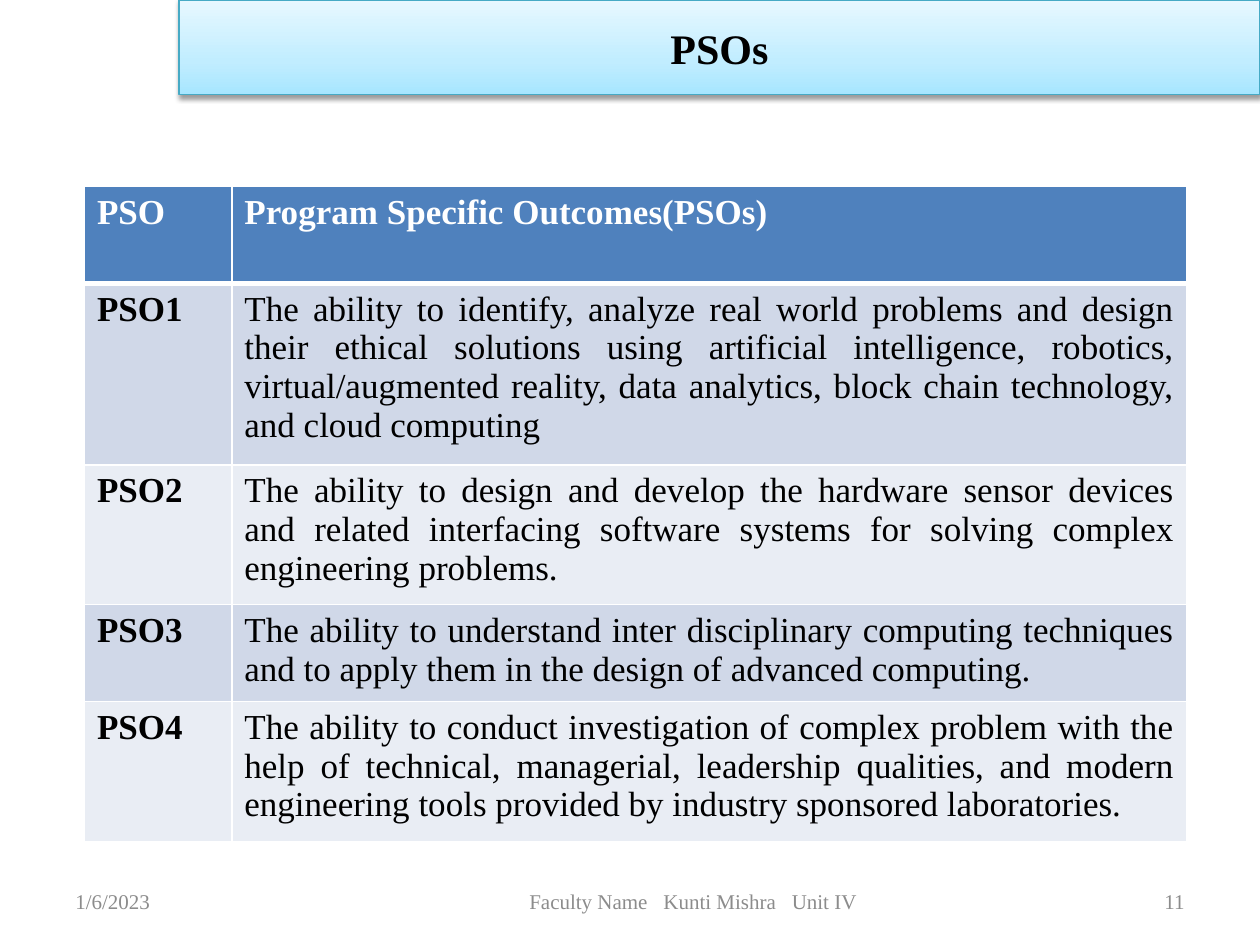
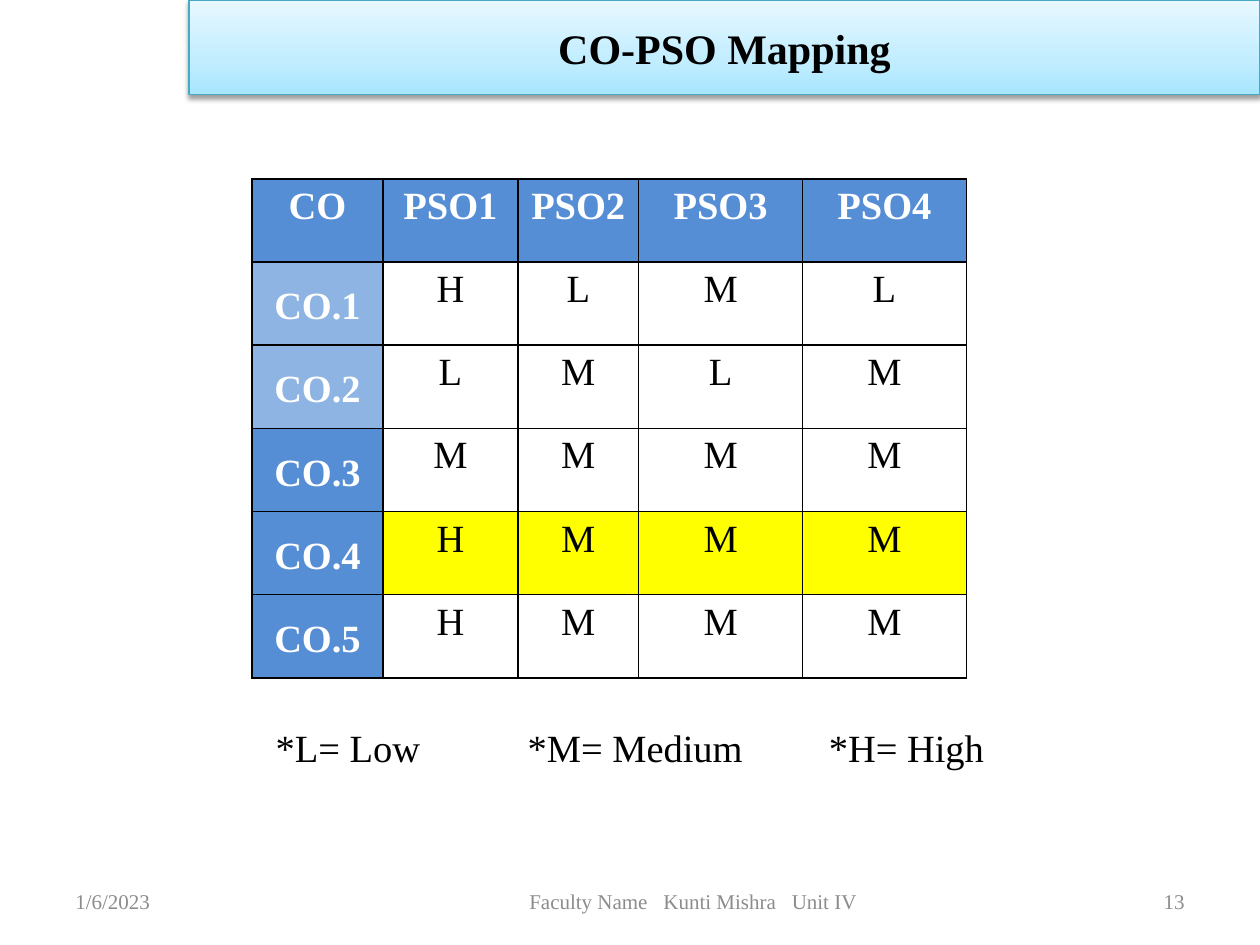
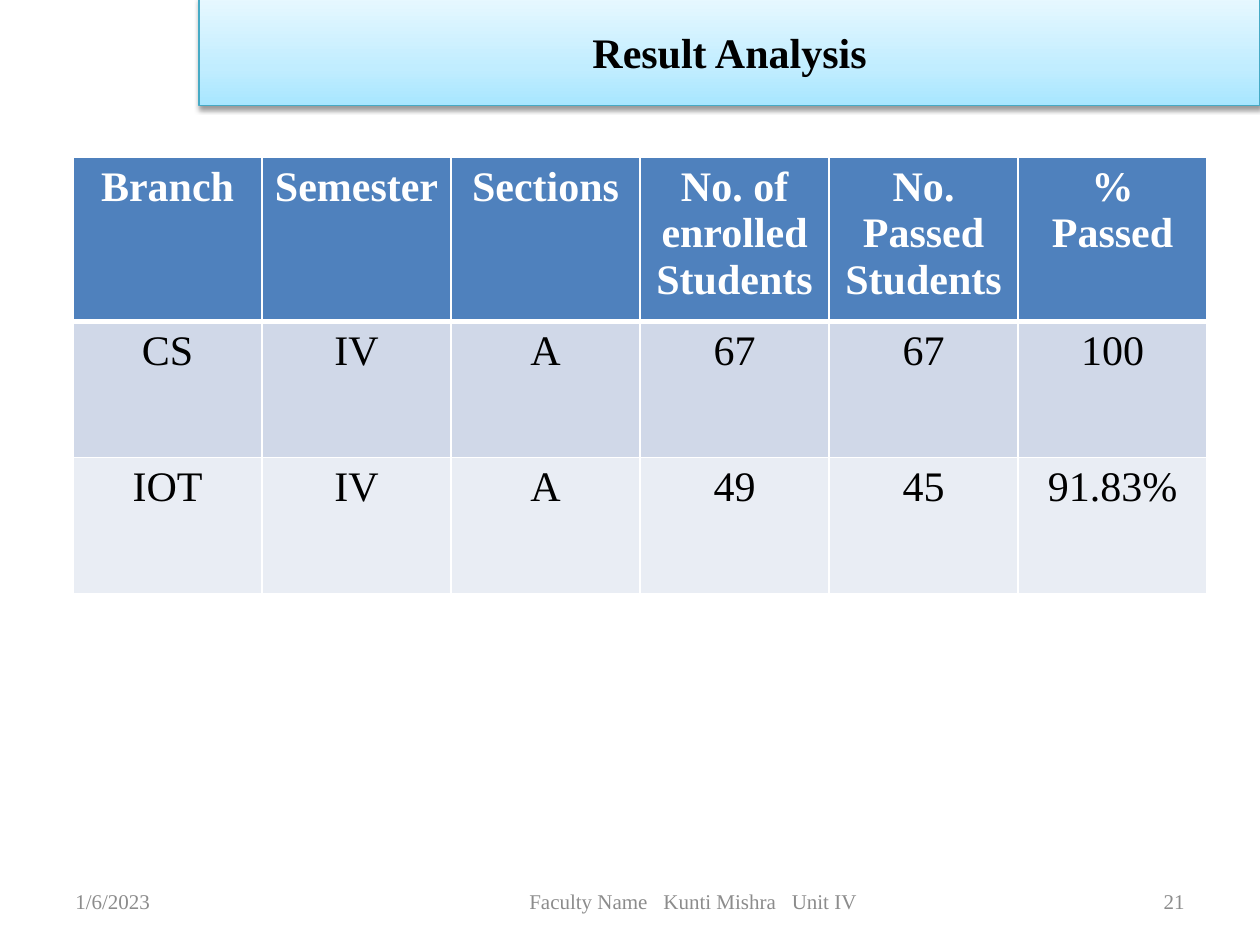
from copy import deepcopy
from dataclasses import dataclass
from typing import Callable, Optional

from lxml import etree
from pptx import Presentation
from pptx.dml.color import RGBColor
from pptx.enum import shapes, text
from pptx.oxml.ns import qn
from pptx.util import Inches, Pt

FONT = "Times New Roman"
BLACK = RGBColor(0x00, 0x00, 0x00)
WHITE = RGBColor(0xFF, 0xFF, 0xFF)
GREY = RGBColor(0x8C, 0x8C, 0x8C)
HEADER_BLUE = RGBColor(0x4F, 0x81, 0xBD)
BAND_DARK = RGBColor(0xD0, 0xD8, 0xE8)
BAND_LIGHT = RGBColor(0xE9, 0xED, 0xF4)
CO_BLUE = RGBColor(0x55, 0x8E, 0xD5)
CO_LIGHT_BLUE = RGBColor(0x8E, 0xB4, 0xE3)
YELLOW = RGBColor(0xFF, 0xFF, 0x00)
BANNER_LINE = RGBColor(0x46, 0xAA, 0xC5)
BANNER_STOPS = (
    (0, RGBColor(0xA7, 0xE6, 0xFF)),
    (0.35, RGBColor(0xC1, 0xED, 0xFF)),
    (1, RGBColor(0xE7, 0xF8, 0xFF)),
)

LEFT, CENTER, RIGHT, JUSTIFY = (
    text.PP_ALIGN.LEFT, text.PP_ALIGN.CENTER, text.PP_ALIGN.RIGHT, text.PP_ALIGN.JUSTIFY)
TOP, MIDDLE = text.MSO_ANCHOR.TOP, text.MSO_ANCHOR.MIDDLE

DATE = "1/6/2023"
FOOTER_PARTS = ("Faculty Name", "Kunti Mishra", "Unit IV")
FOOTER_TOP, FOOTER_HEIGHT = 6.95, 0.4


@dataclass(frozen=True)
class Banner:
    title: str
    left: float
    top: float = 0
    height: float = 0.75


@dataclass(frozen=True)
class CellStyle:
    fill: Optional[RGBColor]
    color: RGBColor = BLACK
    bold: bool = False
    align: text.PP_ALIGN = CENTER
    anchor: text.MSO_ANCHOR = TOP


@dataclass(frozen=True)
class Grid:
    left: float
    top: float
    widths: list[float]
    heights: list[float]
    rows: list[list[str]]
    size: float
    style: Callable[[int, int], CellStyle]
    border: RGBColor = WHITE
    header_rule: float = 3
    margins: Optional[tuple[float, float]] = None
    line_spacing: Optional[float] = None


def add_run(p, words: str, size: float, color: RGBColor, bold: bool = False):
    r = p.add_run()
    r.text = words
    r.font.name = FONT
    r.font.size = Pt(size)
    r.font.bold = bold
    r.font.color.rgb = color
    return r


def add_text_box(s, left: float, top: float, width: float, height: float,
                 align: text.PP_ALIGN = LEFT):
    """Add an empty, vertically centred text box and return its paragraph."""
    tf = s.shapes.add_textbox(
        Inches(left), Inches(top), Inches(width), Inches(height)).text_frame
    tf.word_wrap = True
    tf.vertical_anchor = MIDDLE
    p = tf.paragraphs[0]
    p.alignment = align
    return p


def add_footer(s, number: int) -> None:
    for left, words, align in ((0.5, DATE, LEFT), (7.17, str(number), RIGHT)):
        p = add_text_box(s, left, FOOTER_TOP, 2.33, FOOTER_HEIGHT, align)
        add_run(p, words, 12, GREY)
    p = add_text_box(s, 2.75, FOOTER_TOP, 5.5, FOOTER_HEIGHT, CENTER)
    for i, part in enumerate(FOOTER_PARTS):
        if i:
            gap = add_run(p, " ", 12, GREY)
            gap.font._element.set("spc", "600")
        add_run(p, part, 12, GREY)


def add_banner(s, banner: Banner) -> None:
    sp = s.shapes.add_shape(
        shapes.MSO_SHAPE.RECTANGLE, Inches(banner.left), Inches(banner.top),
        Inches(10 - banner.left), Inches(banner.height))
    sp.line.color.rgb = BANNER_LINE
    sp.line.width = Pt(0.75)
    sp.fill.gradient()
    sp.fill.gradient_angle = 90
    stop_list = sp._element.spPr.find(qn("a:gradFill")).find(qn("a:gsLst"))
    stop_list.append(deepcopy(stop_list[0]))
    for stop, (position, color) in zip(sp.fill.gradient_stops, BANNER_STOPS):
        stop.position = position
        stop.color.rgb = color
    add_shadow(sp)
    tf = sp.text_frame
    tf.word_wrap = True
    tf.vertical_anchor = MIDDLE
    p = tf.paragraphs[0]
    p.alignment = CENTER
    add_run(p, banner.title, 24, BLACK, True)


def add_shadow(sp) -> None:
    sp.shadow.inherit = False
    effects = sp._element.spPr.find(qn("a:effectLst"))
    shadow = etree.SubElement(
        effects, qn("a:outerShdw"), blurRad=str(Pt(3.1)), dist=str(Pt(1.6)),
        dir="5400000", rotWithShape="0")
    color = etree.SubElement(shadow, qn("a:srgbClr"), val=str(BLACK))
    etree.SubElement(color, qn("a:alpha"), val="38000")


def set_borders(cell, color: RGBColor, top: float, bottom: float) -> None:
    """Draw all four borders; must run before the cell gets its fill."""
    tc_pr = cell._tc.get_or_add_tcPr()
    for side, width in (("L", 1), ("R", 1), ("T", top), ("B", bottom)):
        ln = etree.SubElement(tc_pr, qn(f"a:ln{side}"), w=str(Pt(width)))
        fill = etree.SubElement(ln, qn("a:solidFill"))
        etree.SubElement(fill, qn("a:srgbClr"), val=str(color))


def add_grid(s, grid: Grid) -> None:
    table = s.shapes.add_table(
        len(grid.heights), len(grid.widths), Inches(grid.left), Inches(grid.top),
        Inches(sum(grid.widths)), Inches(sum(grid.heights))).table
    table.horz_banding = False
    for column, width in zip(table.columns, grid.widths):
        column.width = Inches(width)
    for row, height in zip(table.rows, grid.heights):
        row.height = Inches(height)
    for i, row in enumerate(grid.rows):
        for j, words in enumerate(row):
            cell, style = table.cell(i, j), grid.style(i, j)
            set_borders(cell, grid.border,
                        top=grid.header_rule if i == 1 else 1,
                        bottom=grid.header_rule if i == 0 else 1)
            if style.fill is None:
                cell.fill.background()
            else:
                cell.fill.solid()
                cell.fill.fore_color.rgb = style.fill
            cell.vertical_anchor = style.anchor
            if grid.margins:
                side, end = grid.margins
                cell.margin_left = cell.margin_right = Inches(side)
                cell.margin_top = cell.margin_bottom = Inches(end)
            p = cell.text_frame.paragraphs[0]
            p.alignment = style.align
            if grid.line_spacing:
                p.line_spacing = grid.line_spacing
            add_run(p, words, grid.size, style.color, style.bold)


def band(row: int) -> RGBColor:
    return BAND_DARK if row % 2 else BAND_LIGHT


def outcome_style(row: int, col: int) -> CellStyle:
    if row == 0:
        return CellStyle(HEADER_BLUE, WHITE, True, LEFT)
    return CellStyle(band(row), bold=col == 0, align=JUSTIFY if col else LEFT)


def mapping_style(row: int, col: int) -> CellStyle:
    if row == 0:
        return CellStyle(CO_BLUE, WHITE, True)
    if col == 0:
        return CellStyle(CO_LIGHT_BLUE if row < 3 else CO_BLUE, WHITE, True, anchor=MIDDLE)
    return CellStyle({2: WHITE, 4: YELLOW}.get(row))


def result_style(row: int, col: int) -> CellStyle:
    return CellStyle(band(row)) if row else CellStyle(HEADER_BLUE, WHITE, True)


def add_legend(s) -> None:
    p = add_text_box(s, 2.09, 5.75, 6.5, 0.36)
    tabs = etree.SubElement(p._p.get_or_add_pPr(), qn("a:tabLst"))
    for position in (2, 4.39):
        etree.SubElement(tabs, qn("a:tab"), pos=str(Inches(position)), algn="l")
    add_run(p, "*L= Low\t*M= Medium\t*H= High", 22, BLACK)


OUTCOMES = Grid(
    0.67, 1.48, [1.17, 7.58], [0.77, 1.44, 1.11, 0.77, 1.11],
    [
        ["PSO", "Program Specific Outcomes(PSOs)"],
        ["PSO1", "The ability to identify, analyze real world problems and design their "
                 "ethical solutions using artificial intelligence, robotics, "
                 "virtual/augmented reality, data analytics, block chain technology, "
                 "and cloud computing"],
        ["PSO2", "The ability to design and develop the hardware sensor devices and "
                 "related interfacing software systems for solving complex engineering "
                 "problems."],
        ["PSO3", "The ability to understand inter disciplinary computing techniques and "
                 "to apply them in the design of advanced computing."],
        ["PSO4", "The ability to conduct investigation of complex problem with the help "
                 "of technical, managerial, leadership qualities, and modern engineering "
                 "tools provided by industry sponsored laboratories."],
    ],
    20, outcome_style)

LEVELS = ("HLML", "LMLM", "MMMM", "HMMM", "HMMM")
MAPPING = Grid(
    2, 1.42, [1.04, 1.07, 0.96, 1.3, 1.3], [0.66] * 6,
    [["CO"] + [f"PSO{n}" for n in range(1, 5)]]
    + [[f"CO.{n}", *levels] for n, levels in enumerate(LEVELS, 1)],
    22, mapping_style, border=BLACK, header_rule=1, margins=(0.07, 0), line_spacing=1.15)

RESULTS = Grid(
    0.58, 1.25, [1.5] * 6, [1.08] * 3,
    [
        ["Branch", "Semester", "Sections", "No. of enrolled Students",
         "No. Passed Students", "% Passed"],
        ["CS", "IV", "A", "67", "67", "100"],
        ["IOT", "IV", "A", "49", "45", "91.83%"],
    ],
    24, result_style)


def add_slide(prs, number: int, banner: Banner, grid: Grid):
    s = prs.slides.add_slide(prs.slide_layouts[6])
    add_footer(s, number)
    add_banner(s, banner)
    add_grid(s, grid)
    return s


def main() -> None:
    prs = Presentation()
    prs.slide_width, prs.slide_height = Inches(10), Inches(7.5)
    add_slide(prs, 11, Banner("PSOs", 1.42), OUTCOMES)
    add_legend(add_slide(prs, 13, Banner("CO-PSO Mapping", 1.5), MAPPING))
    add_slide(prs, 21, Banner("Result Analysis", 1.58, -0.02, 0.86), RESULTS)
    prs.save("out.pptx")


if __name__ == "__main__":
    main()
